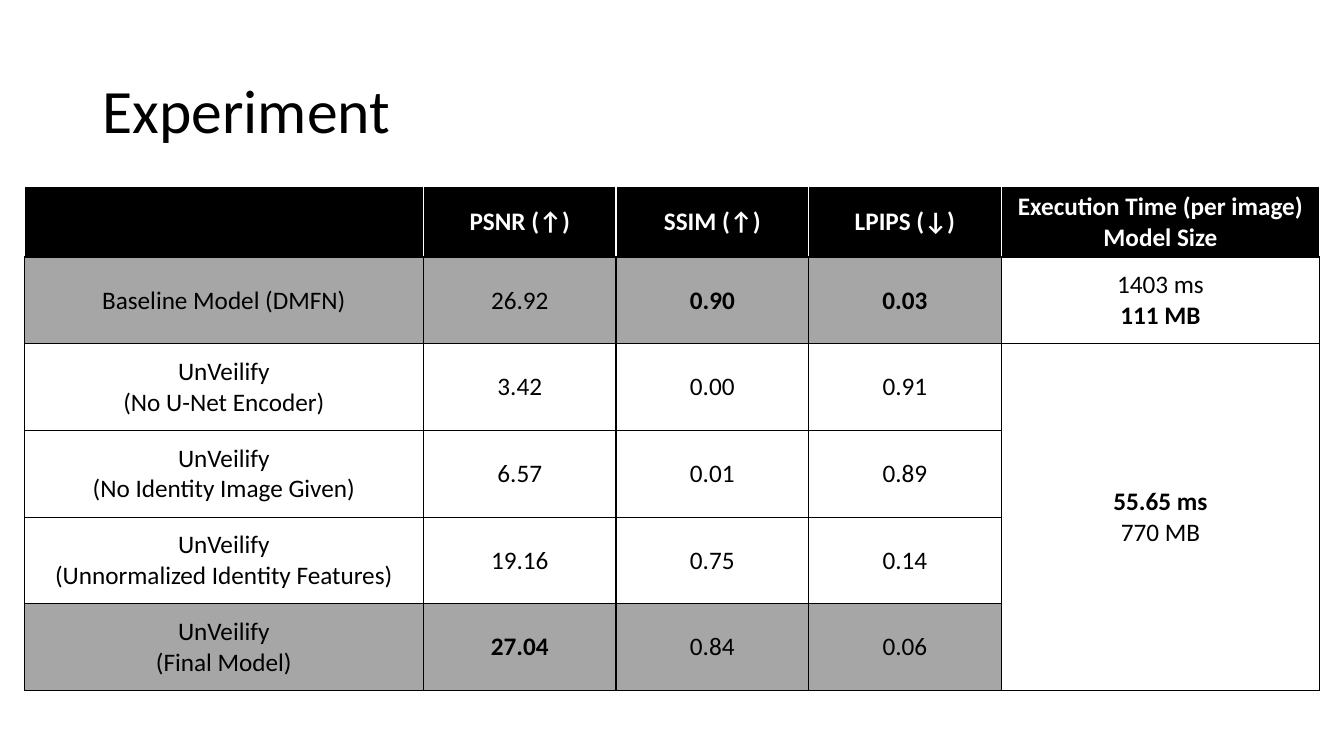
from lxml import etree
from pptx import Presentation, util as u
from pptx.dml.color import RGBColor
from pptx.enum import text
from pptx.oxml.ns import qn

EMU_PER_PX = 9144
BLACK, WHITE, GRAY = "000000", "FFFFFF", "A6A6A6"


def px(length):
    return u.Emu(length * EMU_PER_PX)


def colour(value):
    return RGBColor.from_string(value)


class SlideBuilder:
    font = "Calibri"
    border_pt = 1

    def __init__(self, slide):
        self.slide = slide

    def style_run(self, run, size, ink, bold=False):
        for key, value in {"name": self.font, "size": u.Pt(size), "bold": bold}.items():
            setattr(run.font, key, value)
        run.font.color.rgb = colour(ink)

    def title(self, box, wording, size):
        frame = self.slide.shapes.add_textbox(*map(px, box)).text_frame
        frame.word_wrap = True
        frame.vertical_anchor = text.MSO_ANCHOR.MIDDLE
        heading = frame.paragraphs[0]
        heading.line_spacing = 0.9
        run = heading.add_run()
        run.text = wording
        self.style_run(run, size, BLACK)

    def borders(self, cell, edges):
        properties = cell._tc.get_or_add_tcPr()
        for side, ink in edges.items():
            line = etree.SubElement(properties, qn(f"a:ln{side}"), w=str(u.Pt(self.border_pt)))
            solid = etree.SubElement(line, qn("a:solidFill"))
            etree.SubElement(solid, qn("a:srgbClr"), val=ink)

    def cell(self, cell, wording, ink, fill, edges, bold):
        self.borders(cell, edges)
        if fill:
            cell.fill.solid()
            cell.fill.fore_color.rgb = colour(fill)
        else:
            cell.fill.background()
        cell.vertical_anchor = text.MSO_ANCHOR.MIDDLE
        for index, line in enumerate(wording.split("\n") if wording else []):
            frame = cell.text_frame
            paragraph = frame.add_paragraph() if index else frame.paragraphs[0]
            paragraph.alignment = text.PP_ALIGN.CENTER
            run = paragraph.add_run()
            run.text = line.lstrip("*")
            self.style_run(run, 18, ink, bold or line.startswith("*"))

    def table(self, origin, widths, heights, rows, shaded, merge):
        size = (sum(widths), sum(heights))
        frame = self.slide.shapes.add_table(len(rows), len(widths), *map(px, origin + size))
        table = frame.table
        table.first_row = table.horz_banding = False
        for column, width in zip(table.columns, widths):
            column.width = px(width)
        for r, (row, height) in enumerate(zip(rows, heights)):
            table.rows[r].height = px(height)
            header = r == 0
            edges = dict.fromkeys("LRTB", WHITE if header else BLACK) | {"B": BLACK}
            for c, wording in enumerate(row):
                gray = GRAY if r in shaded and c < len(row) - 1 else None
                self.cell(table.cell(r, c), wording, WHITE if header else BLACK,
                          BLACK if header else gray, edges, header)
        first, last = merge
        table.cell(*first).merge(table.cell(*last))


RESULTS = [
    ("", "PSNR (↑)", "SSIM (↑)", "LPIPS (↓)", "Execution Time (per image)\nModel Size"),
    ("Baseline Model (DMFN)", "26.92", "*0.90", "*0.03", "1403 ms\n*111 MB"),
    ("UnVeilify\n(No U-Net Encoder)", "3.42", "0.00", "0.91", "*55.65 ms\n770 MB"),
    ("UnVeilify\n(No Identity Image Given)", "6.57", "0.01", "0.89", ""),
    ("UnVeilify\n(Unnormalized Identity Features)", "19.16", "0.75", "0.14", ""),
    ("UnVeilify\n(Final Model)", "*27.04", "0.84", "0.06", ""),
]


def main():
    deck = Presentation()
    deck.slide_width, deck.slide_height = px(1333), px(750)
    builder = SlideBuilder(deck.slides.add_slide(deck.slide_layouts[6]))
    builder.title((92, 40, 1150, 145), "Experiment", 44)
    builder.table((24, 185), [396] + [191] * 3 + [316], [68] + [86] * 5,
                  RESULTS, shaded=(1, 5), merge=((2, 4), (5, 4)))
    deck.save("out.pptx")


if __name__ == "__main__":
    main()
